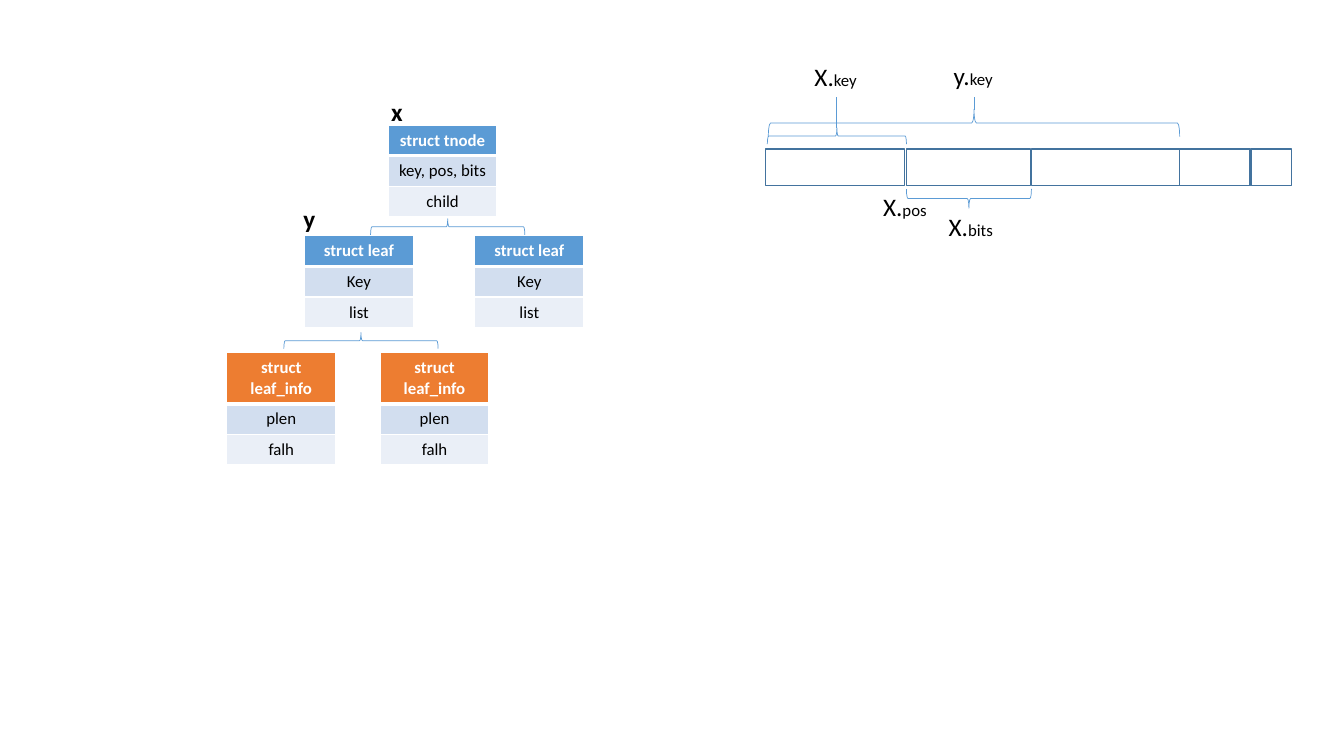
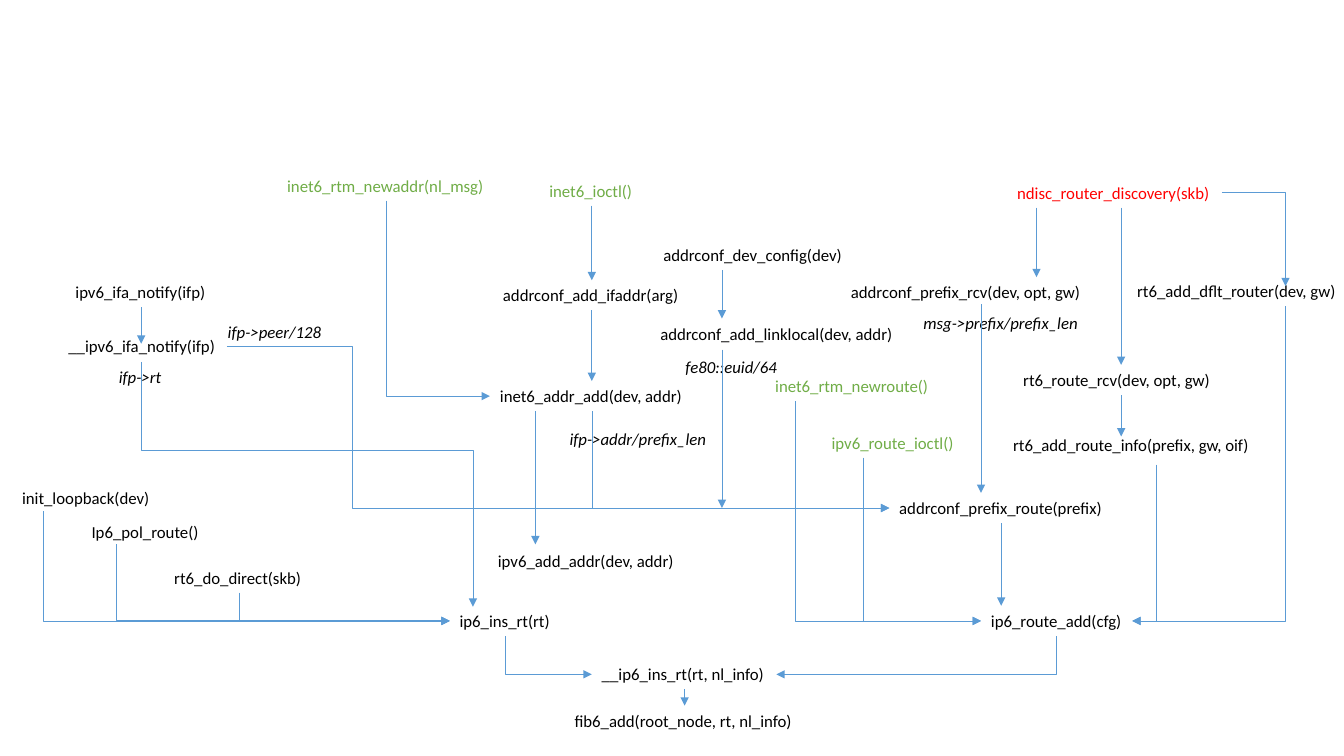
from dataclasses import dataclass
from typing import NamedTuple

from lxml import etree
from pptx import Presentation
from pptx.dml.color import RGBColor
from pptx.enum.shapes import MSO_CONNECTOR as CONN, MSO_SHAPE as SHAPE
from pptx.enum.text import MSO_AUTO_SIZE as AUTO, PP_ALIGN as ALIGN
from pptx.oxml.ns import qn
from pptx.util import Inches, Pt

FONT = "Calibri"
BLACK, WHITE, RED, GREEN = "000000", "FFFFFF", "FF0000", "70AD47"
BLUE, ORANGE, NAVY = "5B9BD5", "ED7D31", "43739E"
BANDS = ("D2DEEF", "EAEFF7")
ROW_H, STRUCT_W = 0.3, 1.08


class Struct(NamedTuple):
    x: float
    y: float
    rows: tuple[str, str, str]
    color: str = BLUE
    head_h: float = ROW_H


class Brace(NamedTuple):
    """A horizontal brace, placed by its centre."""
    cx: float
    cy: float
    span: float
    depth: float = 0.16
    rot: int = 90


class Label(NamedTuple):
    x: float
    y: float
    w: float
    text: str
    color: str = BLACK
    italic: bool = False


class Field(NamedTuple):
    """A variable name in large type and its member in small type."""
    x: float
    y: float
    w: float
    var: str
    member: str


@dataclass
class Arrow:
    x1: float
    y1: float
    x2: float
    y2: float
    down_first: bool = True
    turn: float | None = None  # part of the first direction covered before the middle leg


STRUCTS = [
    Struct(3.85, 1.24, ("struct tnode", "key, pos, bits", "child")),
    *(Struct(x, 2.34, ("struct leaf", "Key", "list")) for x in (3.02, 4.71)),
    *(Struct(x, 3.5, ("struct leaf_info", "plen", "falh"), ORANGE, 0.5) for x in (2.25, 3.77)),
]
BRACES = [
    Brace(3.58, 3.38, 1.53),
    Brace(4.44, 2.25, 1.53),
    Brace(8.3, 1.35, 1.38),
    Brace(9.66, 1.22, 4.08, 0.27),
    Brace(9.61, 1.97, 1.24, 0.19, 270),
]
NODE_NAMES = [Label(3.78, 0.91, 0.32, "x"), Label(2.91, 1.97, 0.32, "y")]
KEY_CELLS = [(7.59, 1.38), (8.99, 1.23), (10.23, 1.47), (11.7, 0.7), (12.41, 0.4)]
FIELDS = [
    Field(7.98, 0.56, 0.63, "X.", "key"),
    Field(9.36, 0.55, 0.59, "y.", "key"),
    Field(8.66, 1.85, 0.64, "X.", "pos"),
    Field(9.31, 2.05, 0.65, "X.", "bits"),
]
KEY_STEMS = [Arrow(8.3, 1.27, 8.3, 0.96), Arrow(9.66, 1.09, 9.66, 0.96)]

CALLS = [
    Label(2.75, 1.69, 2.17, "inet6_rtm_newaddr(nl_msg)", GREEN),
    Label(5.35, 1.74, 1.03, "inet6_ioctl()", GREEN),
    Label(7.59, 3.68, 1.73, "inet6_rtm_newroute()", GREEN),
    Label(8.15, 4.24, 1.42, "ipv6_route_ioctl()", GREEN),
    Label(9.99, 1.76, 2.13, "ndisc_router_discovery(skb)", RED),
    Label(6.48, 2.38, 1.99, "addrconf_dev_config(dev)"),
    Label(0.65, 2.75, 1.5, "ipv6_ifa_notify(ifp)"),
    Label(4.89, 2.78, 1.95, "addrconf_add_ifaddr(arg)"),
    Label(8.34, 2.75, 2.5, "addrconf_prefix_rcv(dev, opt, gw)"),
    Label(11.18, 2.74, 2.19, "rt6_add_dflt_router(dev, gw)"),
    Label(0.58, 3.28, 1.67, "__ipv6_ifa_notify(ifp)"),
    Label(6.45, 3.16, 2.52, "addrconf_add_linklocal(dev, addr)"),
    Label(10.05, 3.62, 2.14, "rt6_route_rcv(dev, opt, gw)"),
    Label(4.86, 3.78, 2.02, "inet6_addr_add(dev, addr)"),
    Label(9.95, 4.26, 2.56, "rt6_add_route_info(prefix, gw, oif)"),
    Label(0.12, 4.79, 1.48, "init_loopback(dev)"),
    Label(8.82, 4.89, 2.23, "addrconf_prefix_route(prefix)"),
    Label(0.81, 5.13, 1.27, "Ip6_pol_route()"),
    Label(4.84, 5.41, 1.96, "ipv6_add_addr(dev, addr)"),
    Label(1.63, 5.58, 1.47, "rt6_do_direct(skb)"),
    Label(4.46, 6.01, 1.1, "ip6_ins_rt(rt)"),
    Label(9.73, 6.01, 1.51, "ip6_route_add(cfg)"),
    Label(5.87, 6.54, 1.83, "__ip6_ins_rt(rt, nl_info)"),
    Label(5.6, 7, 2.38, "fib6_add(root_node, rt, nl_info)"),
    Label(2.16, 3.14, 1.15, "ifp->peer/128", italic=True),
    Label(1.08, 3.59, 0.63, "ifp->rt", italic=True),
    Label(5.55, 4.2, 1.58, "ifp->addr/prefix_len", italic=True),
    Label(6.7, 3.49, 1.12, "fe80::euid/64", italic=True),
    Label(9.06, 3.05, 1.75, "msg->prefix/prefix_len", italic=True),
]
CALL_ARROWS = [
    Arrow(1.4, 3.05, 1.4, 3.41),
    Arrow(5.87, 2.04, 5.87, 2.78),
    Arrow(5.87, 3.08, 5.87, 3.78),
    Arrow(5.31, 4.08, 5.31, 5.4),
    Arrow(7.16, 2.68, 7.16, 3.16),
    Arrow(7.16, 3.47, 7.16, 5.04),
    Arrow(10.28, 2.06, 10.28, 2.75),
    Arrow(9.73, 3.02, 9.73, 4.89),
    Arrow(9.93, 5.19, 9.93, 6.01),
    Arrow(11.12, 2.06, 11.12, 3.62),
    Arrow(11.12, 3.92, 11.12, 4.33),
    Arrow(6.79, 6.84, 6.79, 7),
    Arrow(3.83, 1.99, 4.86, 3.93),
    Arrow(5.87, 4.08, 8.82, 5.04),
    Arrow(0.43, 5.07, 4.46, 6.16),
    Arrow(1.15, 5.4, 4.46, 6.16),
    Arrow(2.37, 5.88, 4.46, 6.16),
    Arrow(7.89, 3.98, 9.73, 6.16),
    Arrow(8.56, 4.54, 9.73, 6.16),
    Arrow(11.47, 4.61, 11.23, 6.16),
    Arrow(12.75, 3.04, 11.23, 6.16),
    Arrow(5.01, 6.31, 5.87, 6.69),
    Arrow(10.48, 6.31, 7.7, 6.69),
    Arrow(12.12, 1.91, 12.75, 2.84, down_first=False),
    Arrow(2.25, 3.44, 8.82, 5.04, down_first=False, turn=0.19),
    Arrow(1.4, 3.59, 4.69, 6.02, turn=0.36),
]


def rgb(color: str) -> RGBColor:
    return RGBColor.from_string(color)


def add_run(p, text: str, color: str = BLACK, **fmt) -> None:
    r = p.add_run()
    r.text = text
    for name, value in {"name": FONT, "size": Pt(12), **fmt}.items():
        setattr(r.font, name, value)
    r.font.color.rgb = rgb(color)


def set_line(s, color: str, width: float) -> None:
    s.line.color.rgb = rgb(color)
    s.line.width = Pt(width)


def add_text_box(slide, x: float, y: float, w: float, h: float):
    """Return the first paragraph of a new unwrapped text box."""
    tf = slide.shapes.add_textbox(*map(Inches, (x, y, w, h))).text_frame
    tf.word_wrap = False
    tf.auto_size = AUTO.SHAPE_TO_FIT_TEXT
    return tf.paragraphs[0]


def add_label(slide, label: Label, h: float = 0.3, **fmt) -> None:
    p = add_text_box(slide, label.x, label.y, label.w, h)
    add_run(p, label.text, label.color, italic=label.italic, **fmt)


def add_outline(slide, kind, x: float, y: float, w: float, h: float, color: str, width: float):
    s = slide.shapes.add_shape(kind, *map(Inches, (x, y, w, h)))
    s.shadow.inherit = False
    s.fill.background()
    set_line(s, color, width)
    return s


def add_brace(slide, b: Brace) -> None:
    s = add_outline(slide, SHAPE.LEFT_BRACE, b.cx - b.depth / 2, b.cy - b.span / 2,
                    b.depth, b.span, BLUE, 0.5)
    s.rotation = b.rot


def add_border(cell, side: str, width: float) -> None:
    tc_pr = cell._tc.get_or_add_tcPr()
    ln = etree.SubElement(tc_pr, qn(f"a:ln{side}"), w=str(Pt(width)))
    fill = etree.SubElement(ln, qn("a:solidFill"))
    etree.SubElement(fill, qn("a:srgbClr"), val=WHITE)


def add_struct(slide, st: Struct) -> None:
    heights = (st.head_h, ROW_H, ROW_H)
    box = map(Inches, (st.x, st.y, STRUCT_W, sum(heights)))
    table = slide.shapes.add_table(3, 1, *box).table
    table.first_row = table.horz_banding = False
    for i, (text, h, fill) in enumerate(zip(st.rows, heights, (st.color, *BANDS))):
        table.rows[i].height = Inches(h)
        cell = table.cell(i, 0)
        for side in "LRTB":
            under_head = (i, side) in ((0, "B"), (1, "T"))
            add_border(cell, side, 3 if under_head else 1)
        cell.fill.solid()
        cell.fill.fore_color.rgb = rgb(fill)
        p = cell.text_frame.paragraphs[0]
        p.alignment = ALIGN.CENTER
        add_run(p, text, BLACK if i else WHITE, bold=i == 0)


def bend(s, a: Arrow) -> None:
    """Give an elbow connector one corner, or two when the arrow has a turn."""
    geom = s.element.spPr.find(qn("a:prstGeom"))
    geom.set("prst", "bentConnector2" if a.turn is None else "bentConnector3")
    if a.turn is not None:
        etree.SubElement(geom.find(qn("a:avLst")), qn("a:gd"),
                         name="adj1", fmla=f"val {round(a.turn * 100000)}")
    if a.down_first:
        xfrm = s.element.spPr.find(qn("a:xfrm"))
        rightward = a.x2 > a.x1
        xfrm.set("rot", str((270 if rightward else 90) * 60000))
        if rightward:
            xfrm.set("flipH", "1")


def add_arrow(slide, a: Arrow, head: bool = True) -> None:
    straight = a.x1 == a.x2
    ends = (a.x1, a.y1, a.x2, a.y2)
    if a.down_first and not straight:
        # The frame is stored before its quarter turn, so width and height swap.
        cx, cy = (a.x1 + a.x2) / 2, (a.y1 + a.y2) / 2
        half_w, half_h = (a.y2 - a.y1) / 2, abs(a.x2 - a.x1) / 2
        ends = (cx - half_w, cy - half_h, cx + half_w, cy + half_h)
    kind = CONN.STRAIGHT if straight else CONN.ELBOW
    s = slide.shapes.add_connector(kind, *map(Inches, ends))
    if not straight:
        bend(s, a)
    set_line(s, BLUE, 0.5)
    if head:
        etree.SubElement(s.line._get_or_add_ln(), qn("a:tailEnd"), type="triangle")
    etree.SubElement(s.element.spPr, qn("a:effectLst"))


def build_trie(slide) -> None:
    for st in STRUCTS:
        add_struct(slide, st)
    for b in BRACES:
        add_brace(slide, b)
    for name in NODE_NAMES:
        add_label(slide, name, 0.4, size=Pt(18), bold=True)
    for x, w in KEY_CELLS:
        add_outline(slide, SHAPE.RECTANGLE, x, 1.48, w, 0.36, NAVY, 1)
    for f in FIELDS:
        p = add_text_box(slide, f.x, f.y, f.w, 0.4)
        add_run(p, f.var, size=Pt(18))
        add_run(p, f.member)
    for stem in KEY_STEMS:
        add_arrow(slide, stem, head=False)


def build_call_graph(slide) -> None:
    for label in CALLS:
        add_label(slide, label)
    for a in CALL_ARROWS:
        add_arrow(slide, a)


def main() -> None:
    prs = Presentation()
    prs.slide_width, prs.slide_height = Inches(13.33), Inches(7.5)
    for build in (build_trie, build_call_graph):
        build(prs.slides.add_slide(prs.slide_layouts[6]))
    prs.save("out.pptx")


if __name__ == "__main__":
    main()
